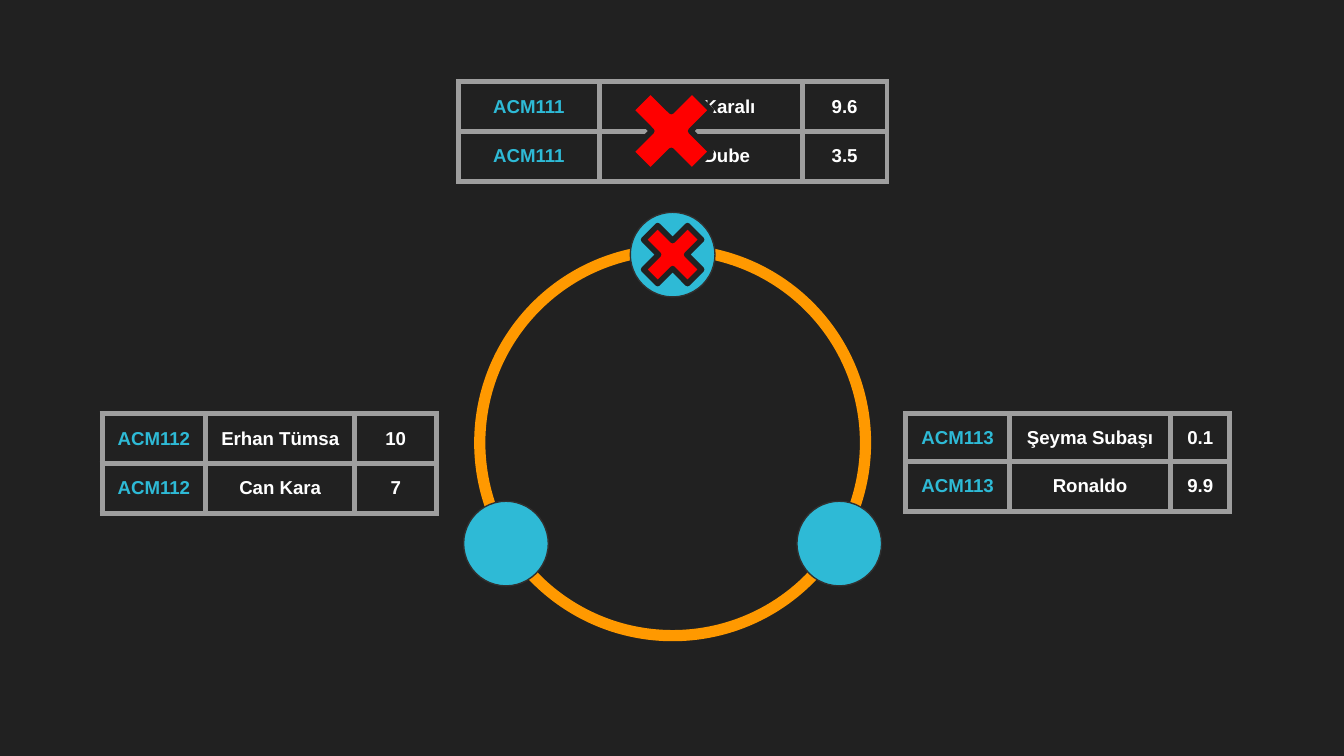
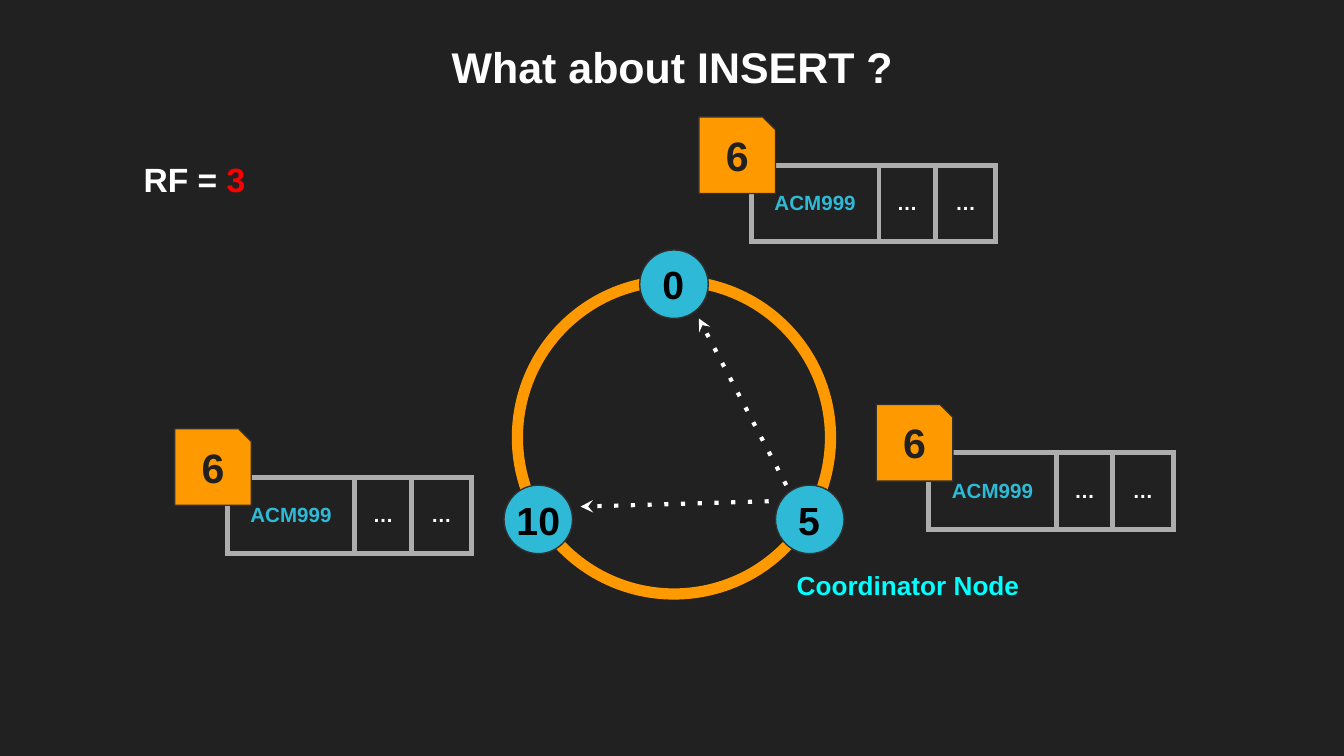
from lxml.etree import SubElement
from pptx import Presentation
from pptx.dml.color import RGBColor
from pptx.enum.shapes import MSO_CONNECTOR as Link, MSO_SHAPE as Preset
from pptx.enum.text import MSO_ANCHOR as Anchor, MSO_AUTO_SIZE as AutoSize, PP_ALIGN as Align
from pptx.oxml.ns import qn
from pptx.util import Emu, Pt

SCALE = 9144
BACKDROP = RGBColor(0x21, 0x21, 0x21)
ORANGE = RGBColor(0xFF, 0x99, 0x00)
BLUE = RGBColor(0x2E, 0xBA, 0xD6)
OUTLINE = RGBColor(0x30, 0x30, 0x30)
GREY = RGBColor(0x9E, 0x9E, 0x9E)
SILVER = RGBColor(0xAD, 0xAD, 0xAD)
RED = RGBColor(0xFF, 0x00, 0x00)
CYAN = RGBColor(0x00, 0xFF, 0xFF)
WHITE = RGBColor(0xFF, 0xFF, 0xFF)
BLACK = RGBColor(0x00, 0x00, 0x00)

FACE = {"name": "Arial", "bold": True}
PADDING = {side: Emu(10 * SCALE) for side in
           ("margin_left", "margin_top", "margin_right", "margin_bottom")}
FRAME = {**PADDING, "word_wrap": True, "auto_size": AutoSize.NONE, "vertical_anchor": Anchor.TOP}
CELL = {**PADDING, "vertical_anchor": Anchor.MIDDLE}

LOST_GRADES = ((341, 61), (105, 151, 63), (37, 37),
               [("ACM111", "Karalı", "9.6"), ("ACM111", "Dube", "3.5")])
KEPT_GRADES = [
    ((76, 308), (77, 111, 61), (37, 37),
     [("ACM112", "Erhan Tümsa", "10"), ("ACM112", "Can Kara", "7")]),
    ((674, 308), (77, 120, 44), (28, 37),
     [("ACM113", "Şeyma Subaşı", "0.1"), ("ACM113", "Ronaldo", "9.9")]),
]


def px(*lengths):
    """Turn pixel lengths into EMU."""
    return [Emu(length * SCALE) for length in lengths]


def apply(target, values):
    """Set each format value on the target."""
    for key, value in values.items():
        setattr(target, key, value)


def write(paragraph, pieces, size, align=Align.CENTER):
    """Fill a paragraph with coloured pieces of text."""
    paragraph.alignment = align
    for words, color in pieces:
        run = paragraph.add_run()
        run.text = words
        apply(run.font, {**FACE, "size": Pt(size)})
        run.font.color.rgb = color


def add_label(slide, box, pieces, size, align=Align.CENTER):
    """Add a text box with one paragraph."""
    frame = slide.shapes.add_textbox(*px(*box)).text_frame
    apply(frame, FRAME)
    write(frame.paragraphs[0], pieces, size, align)


def add_figure(slide, preset, box, fill, line, weight, bend=None):
    """Add a preset shape, hollow when it has no fill colour."""
    figure = slide.shapes.add_shape(preset, *px(*box))
    figure.shadow.inherit = False
    if fill is None:
        figure.fill.background()
    else:
        figure.fill.solid()
        figure.fill.fore_color.rgb = fill
    figure.line.color.rgb = line
    figure.line.width = Pt(weight)
    if bend is not None:
        figure.adjustments[0] = bend


def add_cluster(slide, ring, size, spread, top, bottom):
    """Draw the ring with its three nodes and return their left-top corners."""
    left, _, width, _ = ring
    add_figure(slide, Preset.OVAL, ring, None, ORANGE, 6)
    middle = left + (width - size) // 2
    corners = [(middle - spread, bottom), (middle, top), (middle + spread, bottom)]
    for corner in corners:
        add_figure(slide, Preset.OVAL, (*corner, size, size), BLUE, OUTLINE, 0.75)
    return corners


def add_cross(slide, left, top, size):
    """Mark something as lost with a red cross."""
    add_figure(slide, Preset.MATH_MULTIPLY, (left, top, size, size), RED, BACKDROP, 3, 0.235)


def add_borders(cell, color):
    """Draw all four borders of a table cell."""
    properties = cell._tc.get_or_add_tcPr()
    for side in ("a:lnL", "a:lnR", "a:lnT", "a:lnB"):
        border = SubElement(properties, qn(side), w=str(Pt(3)))
        paint = SubElement(border, qn("a:solidFill"))
        SubElement(paint, qn("a:srgbClr"), val=str(color))


def add_records(slide, corner, widths, heights, records, size, border):
    """Add a table of records whose first column is the blue key, and return it."""
    grid = slide.shapes.add_table(len(heights), len(widths), *px(*corner, sum(widths), sum(heights))).table
    apply(grid, {"first_row": False, "horz_banding": False})
    for column, width in zip(grid.columns, px(*widths)):
        column.width = width
    for row, height, record in zip(grid.rows, px(*heights), records):
        row.height = height
        for index, (cell, words) in enumerate(zip(row.cells, record)):
            apply(cell, CELL)
            add_borders(cell, border)
            cell.fill.background()
            write(cell.text_frame.paragraphs[0], [(words, WHITE if index else BLUE)], size)
    return grid


def align_surnames(grid, margins):
    """Set the surnames clear of the cross, each at its own right margin."""
    for row, margin in enumerate(px(*margins)):
        surname = grid.cell(row, 1)
        surname.margin_right = margin
        surname.text_frame.paragraphs[0].alignment = Align.RIGHT


def add_insert(slide, left, top):
    """Add the inserted record with its token tag."""
    add_records(slide, (left + 39, top + 36), (95, 42, 45), (57,), [("ACM999", "…", "…")], 11, SILVER)
    tag = (left, top, 57, 57)
    add_figure(slide, Preset.SNIP_1_RECTANGLE, tag, ORANGE, OUTLINE, 0.75, 0.167)
    add_label(slide, tag, [("6", BACKDROP)], 22)


def add_arrow(slide, start, end):
    """Add a dotted white arrow."""
    arrow = slide.shapes.add_connector(Link.STRAIGHT, *px(*start, *end))
    arrow.line.color.rgb = WHITE
    arrow.line.width = Pt(2.25)
    outline = arrow.element.spPr.find(qn("a:ln"))
    SubElement(outline, qn("a:prstDash"), val="dot")
    SubElement(outline, qn("a:tailEnd"), type="stealth")
    SubElement(arrow.element.spPr, qn("a:effectLst"))


def set_title(slide, box, words):
    """Place and format the title placeholder."""
    title = slide.shapes.title
    apply(title, dict(zip(("left", "top", "width", "height"), px(*box))))
    apply(title.text_frame, FRAME)
    write(title.text_frame.paragraphs[0], [(words, WHITE)], 23)


def build_failure(deck):
    """Build the slide on which the top node is lost."""
    slide = deck.slides.add_slide(deck.slide_layouts[6])
    _, lost, _ = add_cluster(slide, (357, 186, 287, 287), 63, 124, 158, 373)
    align_surnames(add_records(slide, *LOST_GRADES, 10, GREY), (35, 39))
    for grades in KEPT_GRADES:
        add_records(slide, *grades, 10, GREY)
    add_cross(slide, 456, 54, 87)
    add_cross(slide, *lost, 63)


def build_insert(deck):
    """Build the slide on which a record goes to three nodes."""
    slide = deck.slides.add_slide(deck.slide_layouts[5])
    set_title(slide, (127, 20, 747, 61), "What about INSERT ?")
    nodes = add_cluster(slide, (385, 209, 233, 233), 51, 101, 186, 361)
    for (left, top), token, width in zip(nodes, ("10", "0", "5"), (55, 38, 38)):
        add_label(slide, (left + (51 - width) // 2, top - 2, width, 56), [(token, BLACK)], 21)
    add_label(slide, (583, 414, 286, 44), [("Coordinator Node", CYAN)], 14, Align.LEFT)
    add_label(slide, (97, 108, 385, 50), [("RF = ", WHITE), ("3", RED)], 18, Align.LEFT)
    add_arrow(slide, (572, 373), (432, 377))
    add_arrow(slide, (585, 361), (520, 237))
    for corner in ((652, 301), (130, 319), (520, 87)):
        add_insert(slide, *corner)


def main():
    """Build and save the deck."""
    deck = Presentation()
    deck.slide_width = Emu(1000 * SCALE)
    deck.slide_height = Emu(1000 * SCALE * 9 // 16)
    backdrop = deck.slide_master.background.fill
    backdrop.solid()
    backdrop.fore_color.rgb = BACKDROP
    build_failure(deck)
    build_insert(deck)
    deck.save("out.pptx")


if __name__ == "__main__":
    main()
